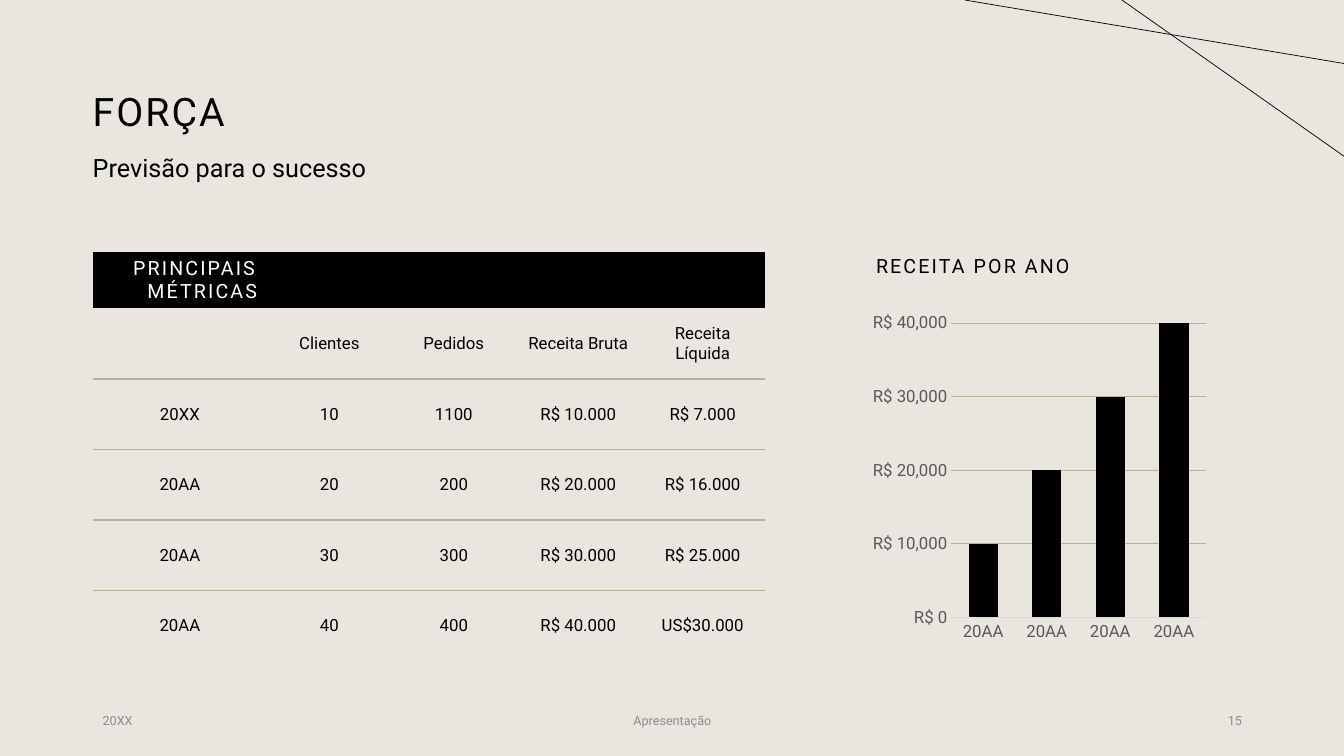
from dataclasses import dataclass
from typing import Any, NamedTuple

from lxml.etree import SubElement
from pptx import Presentation
from pptx.chart.data import CategoryChartData
from pptx.dml.color import RGBColor
from pptx.enum.chart import XL_CHART_TYPE as ChartType, XL_TICK_MARK as Tick
from pptx.enum.text import MSO_ANCHOR as Anchor, MSO_AUTO_SIZE as AutoSize, PP_ALIGN as Align
from pptx.oxml import parse_xml
from pptx.oxml.ns import nsdecls, qn
from pptx.util import Inches, Pt

SLIDE_WIDTH, SLIDE_HEIGHT = Inches(13.33), Inches(7.5)
PLAIN_TABLE = "{2D5ABB26-0587-4C30-8999-92F81FD0307C}"


@dataclass(frozen=True)
class Theme:
    font: str = "Roboto"
    paper: str = "E9E6DF"
    ink: str = "000000"
    white: str = "FFFFFF"
    sand: str = "BBB19B"
    axis_text: str = "595959"
    axis_line: str = "D9D9D9"
    footer_text: str = "8C8C8C"
    title: float = 28
    subtitle: float = 18
    heading: float = 14
    cell: float = 12
    chart: float = 10
    footer: float = 9
    tracking: float = 1.5


THEME = Theme()


class Box(NamedTuple):
    left: float
    top: float
    width: float
    height: float


class Style(NamedTuple):
    size: float
    color: str = THEME.ink
    tracking: float = 0
    align: Align = Align.LEFT


class Footer(NamedTuple):
    text: str
    left: float
    width: float
    align: Align


class Ray(NamedTuple):
    start: float
    end: float


FOOTERS = [
    Footer("20XX", 6.9, 22.5, Align.LEFT),
    Footer("Apresentação", 33.15, 33.75, Align.CENTER),
    Footer("15", 70.65, 22.5, Align.RIGHT),
]
RAYS = [Ray(83.48, 20.67), Ray(71.78, 8.4)]
METRICS = [
    ["PRINCIPAIS MÉTRICAS", "", "", "", ""],
    ["", "Clientes", "Pedidos", "Receita Bruta", "Receita Líquida"],
    ["20XX", "10", "1100", "R$ 10.000", "R$ 7.000"],
    ["20AA", "20", "200", "R$ 20.000", "R$ 16.000"],
    ["20AA", "30", "300", "R$ 30.000", "R$ 25.000"],
    ["20AA", "40", "400", "R$ 40.000", "US$30.000"],
]


def across(share: float) -> int:
    return round(SLIDE_WIDTH * share / 100)


def down(share: float) -> int:
    return round(SLIDE_HEIGHT * share / 100)


def place(box: Box) -> tuple[int, int, int, int]:
    return across(box.left), down(box.top), across(box.width), down(box.height)


def assign(target: Any, values: dict[str, Any]) -> None:
    for key, value in values.items():
        setattr(target, key, value)


def paint(fill: Any, color: str) -> None:
    fill.solid()
    fill.fore_color.rgb = RGBColor.from_string(color)


def set_font(font: Any, size: float, color: str) -> None:
    assign(font, {"name": THEME.font, "size": Pt(size), "bold": False})
    font.color.rgb = RGBColor.from_string(color)


def set_line(line: Any, color: str, width: float) -> None:
    paint(line.fill, color)
    line.width = Pt(width)


def write(frame: Any, text: str, style: Style, layout: dict[str, Any] = {}) -> None:
    paragraph = frame.paragraphs[0]
    assign(paragraph, {"alignment": style.align, **layout})
    run = paragraph.add_run()
    run.text = text
    set_font(run.font, style.size, style.color)
    run._r.get_or_add_rPr().set("spc", str(round(style.tracking * 100)))


def fill_placeholder(holder: Any, box: Box, text: str, style: Style,
                     frame_format: dict[str, Any], layout: dict[str, Any]) -> None:
    assign(holder, dict(zip(("left", "top", "width", "height"), place(box))))
    assign(holder.text_frame, {"auto_size": AutoSize.NONE, "word_wrap": True, **frame_format})
    write(holder.text_frame, text, style, layout)


def rule_below(cell: Any) -> None:
    cell._tc.get_or_add_tcPr().insert(0, parse_xml(
        f'<a:lnB {nsdecls("a")} w="{Pt(1)}"><a:solidFill>'
        f'<a:srgbClr val="{THEME.sand}"/></a:solidFill></a:lnB>'))


def add_metrics(slide: Any) -> None:
    frame = slide.shapes.add_table(len(METRICS), len(METRICS[0]), *place(Box(6.9, 33.33, 50.02, 54.06)))
    table = frame.table
    table._tbl.tblPr.find(qn("a:tableStyleId")).text = PLAIN_TABLE
    assign(table, {"first_row": False, "horz_banding": False})
    for index, column in enumerate(table.columns):
        column.width = across(9.26 if index else 12.98)
    for index, row in enumerate(table.rows):
        row.height = down(9.33 if index else 7.41)
        for cell, text in zip(row.cells, METRICS[index]):
            cell.vertical_anchor = Anchor.MIDDLE
            if index == 0:
                paint(cell.fill, THEME.ink)
                style = Style(THEME.heading, THEME.white, THEME.tracking, Align.RIGHT)
            else:
                cell.fill.background()
                style = Style(THEME.cell, align=Align.CENTER)
            if text:
                write(cell.text_frame, text, style)
            if 0 < index < len(METRICS) - 1:
                rule_below(cell)


def add_revenue(slide: Any) -> None:
    revenue = CategoryChartData()
    revenue.categories = ["20AA"] * 4
    revenue.add_series("Series 1", [10000, 20000, 30000, 40000])
    chart = slide.shapes.add_chart(
        ChartType.COLUMN_CLUSTERED, *place(Box(64.43, 40.53, 25.8, 45.2)), revenue).chart
    assign(chart, {"has_legend": False, "has_title": False})
    set_font(chart.font, THEME.chart, THEME.ink)
    plot = chart.plots[0]
    assign(plot, {"gap_width": 118, "overlap": -3, "vary_by_categories": False})
    paint(plot.series[0].format.fill, THEME.ink)
    years, amounts = chart.category_axis, chart.value_axis
    for axis in (years, amounts):
        assign(axis, {"major_tick_mark": Tick.NONE, "minor_tick_mark": Tick.NONE})
        set_font(axis.tick_labels.font, THEME.cell, THEME.axis_text)
    set_line(years.format.line, THEME.axis_line, 0.75)
    assign(amounts, {"minimum_scale": 0, "maximum_scale": 40000, "major_unit": 10000,
                     "has_major_gridlines": True})
    amounts.format.line.fill.background()
    set_line(amounts.major_gridlines.format.line, THEME.sand, 0.75)
    assign(amounts.tick_labels, {"number_format": r'"R$"\ #,##0', "number_format_is_linked": False})


def add_footer(slide: Any, footer: Footer) -> None:
    frame = slide.shapes.add_textbox(*place(Box(footer.left, 92.67, footer.width, 5.33))).text_frame
    assign(frame, {"word_wrap": True, "vertical_anchor": Anchor.MIDDLE})
    write(frame, footer.text, Style(THEME.footer, THEME.footer_text, align=footer.align))


def add_ray(slide: Any, ray: Ray) -> None:
    line = slide.shapes.add_connector(1, across(ray.start), 0, SLIDE_WIDTH, down(ray.end))
    set_line(line.line, THEME.ink, 0.5)
    SubElement(line._element.spPr, qn("a:effectLst"))


def main() -> None:
    deck = Presentation()
    assign(deck, {"slide_width": SLIDE_WIDTH, "slide_height": SLIDE_HEIGHT})
    slide = deck.slides.add_slide(deck.slide_layouts[4])
    paint(slide.background.fill, THEME.paper)
    holders = {holder.placeholder_format.idx: holder for holder in slide.placeholders}
    for unused in (2, 4):
        holders[unused]._element.getparent().remove(holders[unused]._element)
    body_frame = {"vertical_anchor": Anchor.TOP}
    body_layout = {"line_spacing": 0.9, "space_before": Pt(10)}
    fill_placeholder(holders[0], Box(6.9, 5.33, 86.25, 19.33), "FORÇA",
                     Style(THEME.title, tracking=THEME.tracking),
                     {"vertical_anchor": Anchor.MIDDLE, "margin_left": 0}, {"line_spacing": 0.9})
    fill_placeholder(holders[1], Box(6.15, 19.87, 55.5, 7.2), "Previsão para o sucesso",
                     Style(THEME.subtitle), body_frame, body_layout)
    add_metrics(slide)
    fill_placeholder(holders[3], Box(64.43, 33.33, 25.8, 4.53), "RECEITA POR ANO",
                     Style(THEME.heading, tracking=THEME.tracking), body_frame, body_layout)
    add_revenue(slide)
    for footer in FOOTERS:
        add_footer(slide, footer)
    for ray in RAYS:
        add_ray(slide, ray)
    deck.save("out.pptx")


if __name__ == "__main__":
    main()
